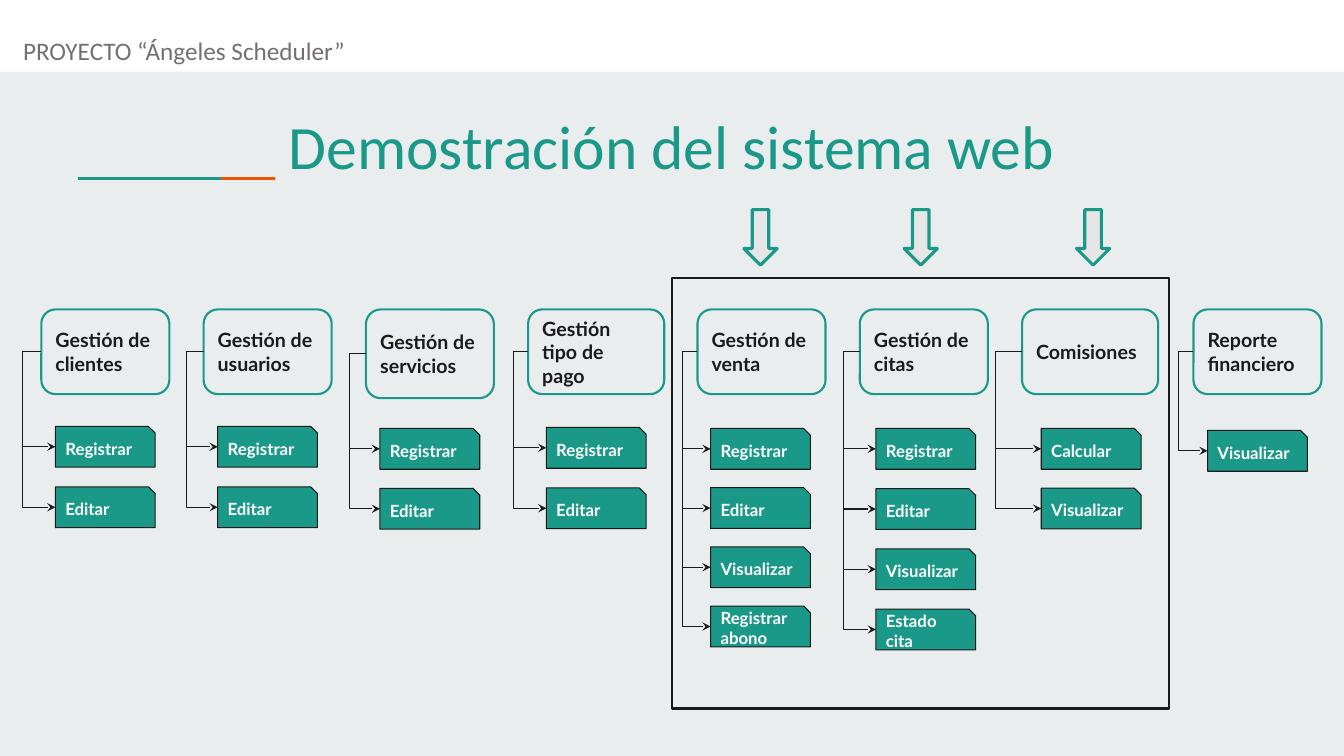
"""Build the system demonstration slide with its module map."""
from dataclasses import dataclass

from lxml import etree
from pptx import Presentation, util as u
from pptx.dml.color import RGBColor
from pptx.enum import shapes, text
from pptx.oxml.ns import qn

Kind = shapes.MSO_SHAPE


@dataclass(frozen=True)
class Theme:
    backdrop: str = "E9EDEE"
    band: str = "FFFFFF"
    teal: str = "1A9988"
    orange: str = "EB5600"
    ink: str = "1A1A1A"
    grey: str = "757070"
    arrow: str = "E7E6E6"
    heading_font: str = "Calibri"
    body_font: str = "Lato"
    title_size: int = 44
    header_size: int = 18
    card_size: int = 14
    step_size: int = 12
    thick: float = 2.25
    medium: float = 1.5
    thin: float = 0.75


@dataclass(frozen=True)
class Area:
    """Left, top, width and height in grid columns and rows."""
    left: float
    top: float
    width: float
    height: float


@dataclass(frozen=True)
class Module:
    """A card with its steps, measured in grid columns and rows."""
    name: str
    steps: tuple[str, ...]
    shift: float = 0
    width: float = 3.81
    height: float = 3.36
    indent: float = 0.42
    rail: float = 0.45
    first_step: float = 17
    pitch: float = 2.4


THEME = Theme()
SLIDE_WIDTH, SLIDE_HEIGHT = u.Inches(13.33), u.Inches(7.5)
COLUMN, ROW = SLIDE_WIDTH / 40, SLIDE_HEIGHT / 30
CARD_LEFT, CARD_TOP, CARD_PITCH = 1.23, 12.28, 4.83
STEP_WIDTH, STEP_HEIGHT = 2.97, 1.62
ARROW_LEFTS = (22.14, 26.91, 32.04)

MODULES = (
    Module("Gestión de clientes", ("Registrar", "Editar"), rail=0.57, first_step=16.92),
    Module("Gestión de usuarios", ("Registrar", "Editar"), rail=0.51, first_step=16.92),
    Module("Gestión de servicios", ("Registrar", "Editar"), height=3.52, rail=0.48, pitch=2.38),
    Module("Gestión tipo de pago", ("Registrar", "Editar"), width=4.05, indent=0.54,
           first_step=16.96),
    Module("Gestión de venta", ("Registrar", "Editar", "Visualizar", "Registrar abono"),
           shift=0.21, indent=0.39, pitch=2.35),
    Module("Gestión de citas", ("Registrar", "Editar", "Visualizar", "Estado cita"),
           shift=0.21, indent=0.48, rail=0.48, pitch=2.39),
    Module("Comisiones", ("Calcular", "Visualizar"), shift=0.21, width=4.05, indent=0.57,
           rail=0.78, pitch=2.37),
    Module("Reporte financiero", ("Visualizar",), shift=0.48, first_step=17.08),
)


def colour(code: str) -> RGBColor:
    return RGBColor.from_string(code)


def emu(area: Area) -> tuple[int, int, int, int]:
    return (round(area.left * COLUMN), round(area.top * ROW),
            round(area.width * COLUMN), round(area.height * ROW))


def add_box(page, kind: Kind, area: Area, fill: str | None = None,
            line: str | None = None, weight: float = 0):
    box = page.shapes.add_shape(kind, *emu(area))
    box.shadow.inherit = False
    if fill:
        box.fill.solid()
        box.fill.fore_color.rgb = colour(fill)
    else:
        box.fill.background()
    if line:
        box.line.color.rgb = colour(line)
        box.line.width = u.Pt(weight)
    else:
        box.line.fill.background()
    return box


def write(box, words: str, font: str, size: int, ink: str, bold: bool = False,
          align: text.PP_ALIGN = text.PP_ALIGN.LEFT) -> None:
    box.text_frame.word_wrap = True
    para = box.text_frame.paragraphs[0]
    para.text = words
    para.alignment = align
    para.font.name = font
    para.font.size = u.Pt(size)
    para.font.bold = bold
    para.font.color.rgb = colour(ink)


def add_label(page, kind: Kind, area: Area, words: str, size: int, ink: str,
              fill: str, line: str, weight: float):
    box = add_box(page, kind, area, fill, line, weight)
    frame = box.text_frame
    frame.vertical_anchor = text.MSO_ANCHOR.MIDDLE
    frame.margin_left = frame.margin_right = u.Inches(0.1)
    frame.margin_top = frame.margin_bottom = u.Inches(0.1)
    write(box, words, THEME.body_font, size, ink, bold=True)
    return box


def add_link(page, card, step, bend: float) -> None:
    link = page.shapes.add_connector(shapes.MSO_CONNECTOR.ELBOW, 0, 0, 0, 0)
    link.begin_connect(card, 1)
    link.end_connect(step, 1)
    link.line.color.rgb = colour(THEME.ink)
    link.line.width = u.Pt(THEME.thin)
    properties = link._element.spPr
    guides = properties.find(qn("a:prstGeom")).find(qn("a:avLst"))
    etree.SubElement(guides, qn("a:gd"), name="adj1", fmla=f"val {round(bend * 100000)}")
    etree.SubElement(properties.find(qn("a:ln")), qn("a:tailEnd"), type="stealth")
    etree.SubElement(properties, qn("a:effectLst"))


def add_module(page, index: int, module: Module) -> None:
    left = CARD_LEFT + index * CARD_PITCH + module.shift
    card = add_label(page, Kind.ROUNDED_RECTANGLE,
                     Area(left, CARD_TOP, module.width, module.height), module.name,
                     THEME.card_size, THEME.ink, THEME.backdrop, THEME.teal, THEME.medium)
    for row, name in enumerate(module.steps):
        area = Area(left + module.indent, module.first_step + row * module.pitch,
                    STEP_WIDTH, STEP_HEIGHT)
        step = add_label(page, Kind.SNIP_1_RECTANGLE, area, name, THEME.step_size,
                         THEME.band, THEME.teal, THEME.ink, THEME.thin)
        add_link(page, card, step, -module.rail / module.indent)


def main() -> None:
    deck = Presentation()
    deck.slide_width, deck.slide_height = SLIDE_WIDTH, SLIDE_HEIGHT
    page = deck.slides.add_slide(deck.slide_layouts[6])
    page.background.fill.solid()
    page.background.fill.fore_color.rgb = colour(THEME.backdrop)

    add_box(page, Kind.RECTANGLE, Area(0, 0, 40, 2.84), THEME.band)
    add_box(page, Kind.RECTANGLE, Area(6.58, 7.03, 1.62, 0.11), THEME.orange)
    add_box(page, Kind.RECTANGLE, Area(2.32, 7.03, 4.26, 0.11), THEME.teal)
    add_box(page, Kind.RECTANGLE, Area(20.01, 11.04, 14.79, 17.08),
            line=THEME.ink, weight=THEME.medium)

    title = page.shapes.add_textbox(*emu(Area(0, 4.08, 40, 3.36)))
    write(title, "Demostración del sistema web", THEME.heading_font, THEME.title_size,
          THEME.teal, align=text.PP_ALIGN.CENTER)
    header = page.shapes.add_textbox(*emu(Area(0.39, 1.2, 19.95, 1.6)))
    write(header, "PROYECTO “Ángeles Scheduler”", THEME.heading_font, THEME.header_size,
          THEME.grey)

    for index, module in enumerate(MODULES):
        add_module(page, index, module)
    for left in ARROW_LEFTS:
        add_box(page, Kind.DOWN_ARROW, Area(left, 8.32, 0.99, 2.2),
                THEME.arrow, THEME.teal, THEME.thick)
    deck.save("out.pptx")


if __name__ == "__main__":
    main()
